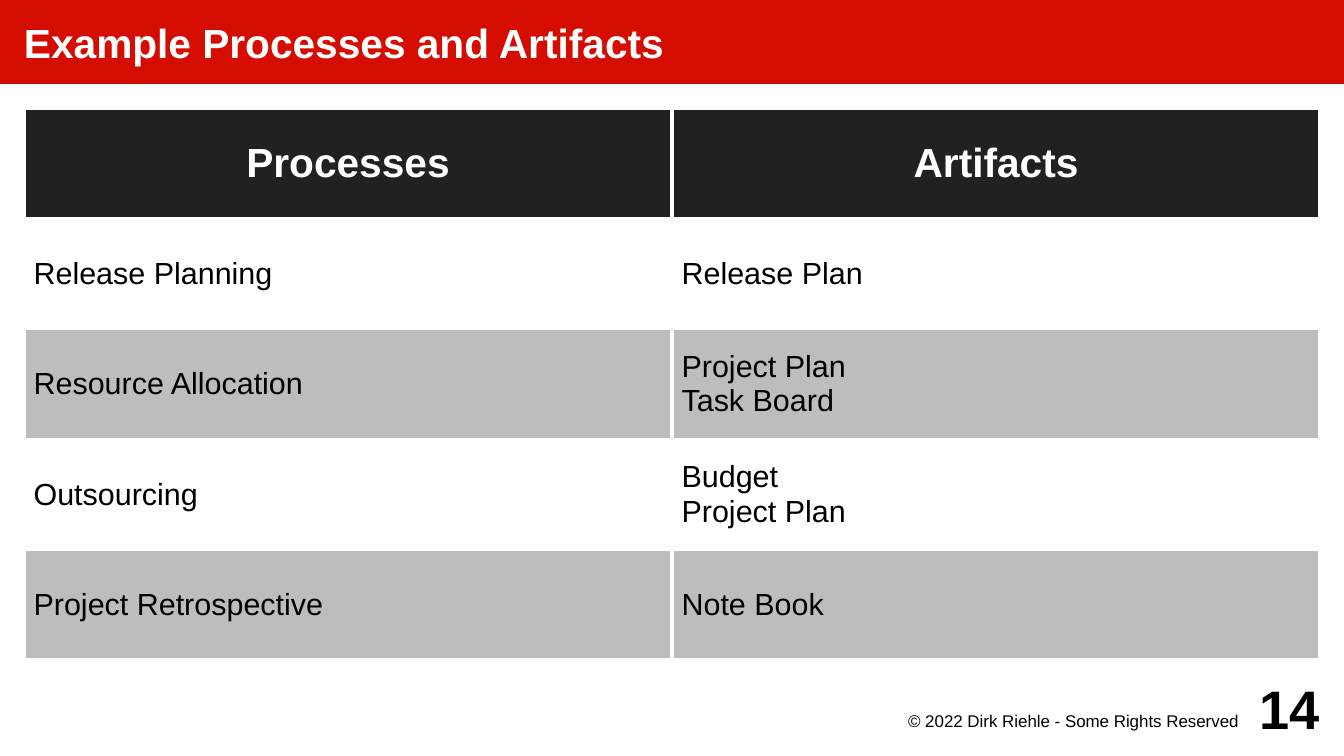
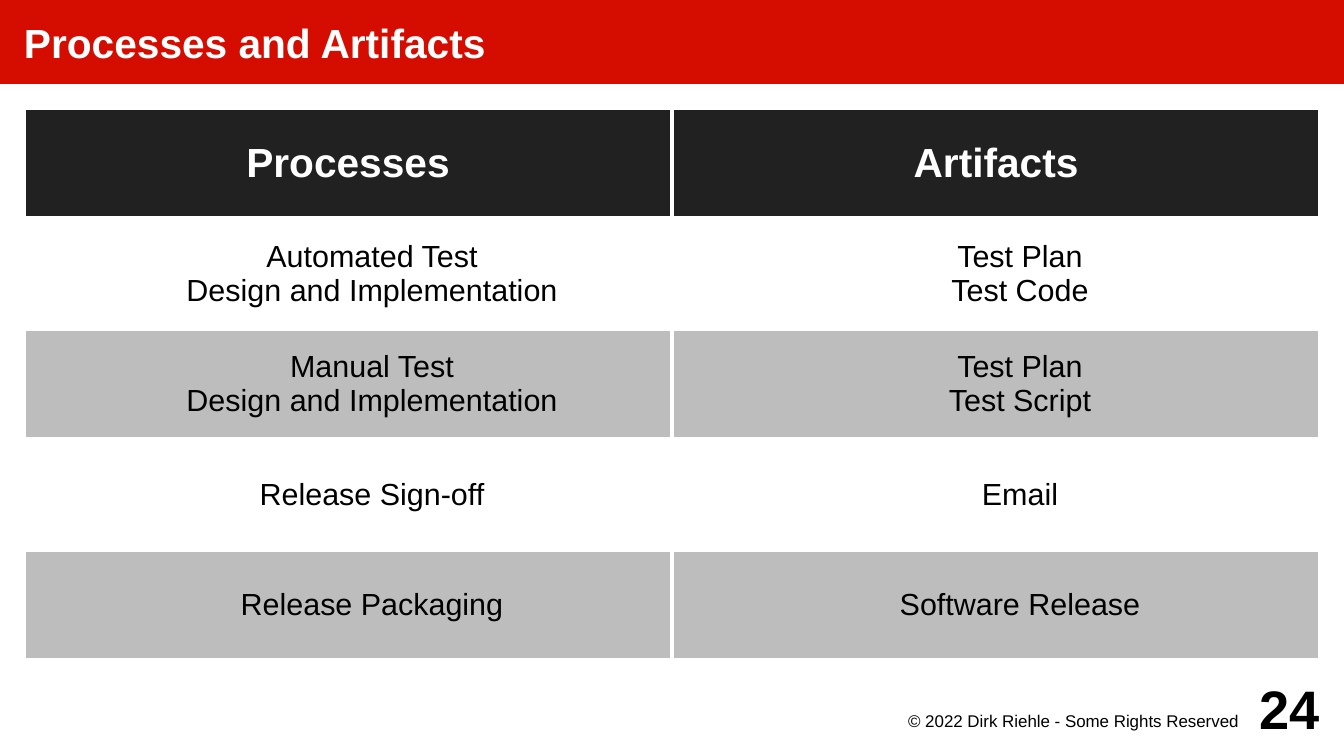
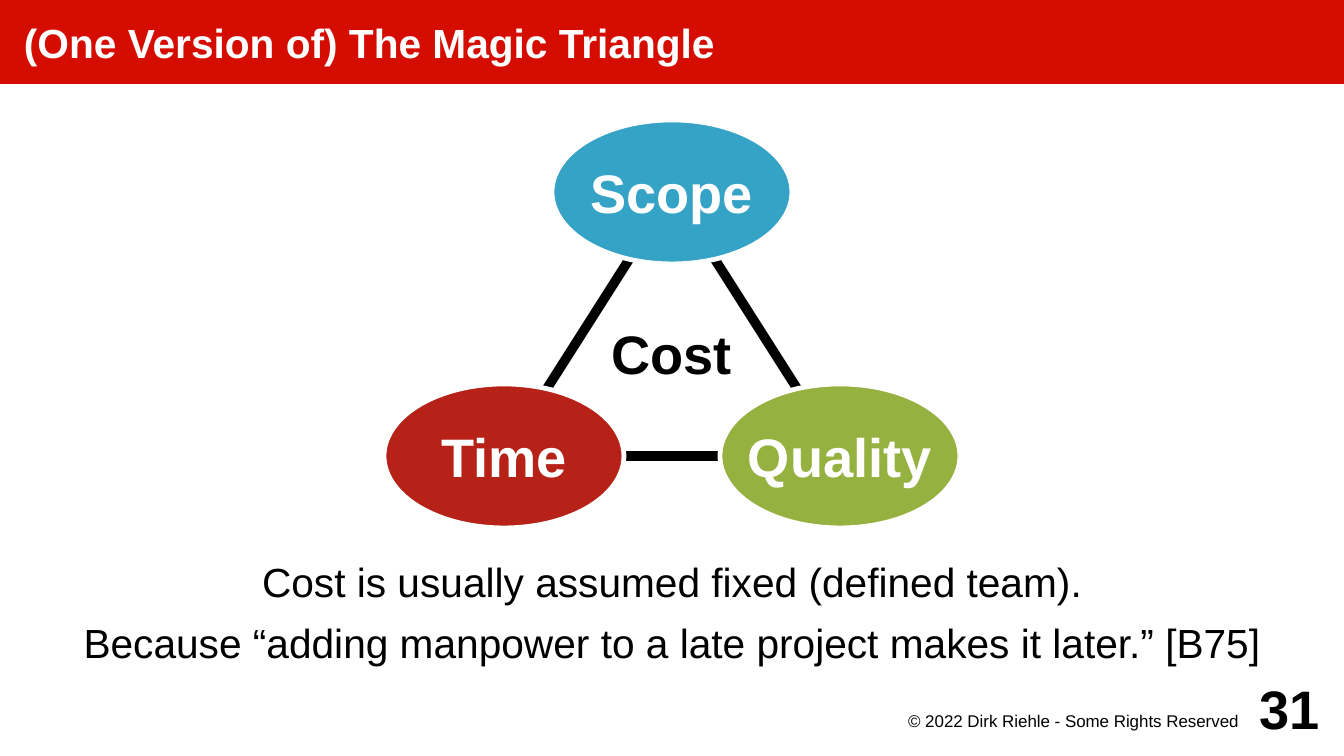
from itertools import combinations

from lxml import etree
from pptx import Presentation
from pptx.dml.color import RGBColor
from pptx.enum import shapes, text
from pptx.oxml import ns
from pptx.util import Cm, Pt

RED = RGBColor(0xD5, 0x0D, 0x01)
WHITE = RGBColor(0xFF, 0xFF, 0xFF)
BLACK = RGBColor(0, 0, 0)
DARK = RGBColor(0x21, 0x21, 0x21)
GRAY = RGBColor(0xBD, 0xBD, 0xBD)
BLUE = RGBColor(0x34, 0xA3, 0xC5)
BRICK = RGBColor(0xB6, 0x21, 0x18)
GREEN = RGBColor(0x95, 0xB2, 0x41)

LEFT, MID, RIGHT = text.PP_ALIGN.LEFT, text.PP_ALIGN.CENTER, text.PP_ALIGN.RIGHT
FONT = "Arial"
WIDE, HIGH = 28, 15.75
EDGE = 0.5
BAND = 1.75
ROW = 2.3


def style(frame, size, color, bold=False, align=LEFT, pad=(0, 0, 0, 0)):
    """Format all text of a frame; pad is left, top, right, bottom in cm."""
    frame.auto_size = text.MSO_AUTO_SIZE.NONE
    frame.vertical_anchor = text.MSO_ANCHOR.MIDDLE
    (frame.margin_left, frame.margin_top,
     frame.margin_right, frame.margin_bottom) = map(Cm, pad)
    for para in frame.paragraphs:
        para.alignment = align
        for run in para.runs:
            font = run.font
            font.name, font.size, font.bold = FONT, Pt(size), bold
            font.color.rgb = color


def edge(cell, width):
    """Draw a white border on all four sides of a cell."""
    props = cell._tc.get_or_add_tcPr()
    for spot, side in enumerate(("lnL", "lnR", "lnT", "lnB")):
        line = etree.Element(ns.qn("a:" + side), w=str(Pt(width)))
        fill = etree.SubElement(line, ns.qn("a:solidFill"))
        etree.SubElement(fill, ns.qn("a:srgbClr"), val=str(WHITE))
        props.insert(spot, line)


deck = Presentation()
deck.slide_width, deck.slide_height = Cm(WIDE), Cm(HIGH)

# Title band and footer of every slide
slides = []
for title, page, layout in (
    ("Example Processes and Artifacts", 14, 5),
    ("Processes and Artifacts", 24, 5),
    ("(One Version of) The Magic Triangle", 31, 1),
):
    slide = deck.slides.add_slide(deck.slide_layouts[layout])
    slides.append(slide)
    head = slide.shapes.title
    head.left, head.top, head.width, head.height = 0, 0, Cm(WIDE), Cm(BAND)
    head.fill.solid()
    head.fill.fore_color.rgb = RED
    head.text_frame.text = title
    style(head.text_frame, 24, WHITE, True, pad=(EDGE, 0, 0, 0))

    note = slide.shapes.add_textbox(Cm(18), Cm(14.75), Cm(8), Cm(0.75))
    note.text_frame.text = "© 2022 Dirk Riehle - Some Rights Reserved"
    style(note.text_frame, 10, BLACK, align=RIGHT, pad=(0, 0.05, 0.2, 0))
    note.text_frame.vertical_anchor = text.MSO_ANCHOR.TOP

    count = slide.shapes.add_textbox(Cm(25.5), Cm(14), Cm(2), Cm(1.5))
    count.text_frame.text = str(page)
    style(count.text_frame, 32, BLACK, True, RIGHT)

# Tables
HEADS = ("Processes", "Artifacts")
plans = (
    HEADS,
    ("Release Planning", "Release Plan"),
    ("Resource Allocation", "Project Plan\nTask Board"),
    ("Outsourcing", "Budget\nProject Plan"),
    ("Project Retrospective", "Note Book"),
)
tests = (
    HEADS,
    ("Automated Test\vDesign and Implementation", "Test Plan\nTest Code"),
    ("Manual Test\nDesign and Implementation", "Test Plan\nTest Script"),
    ("Release Sign-off", "Email"),
    ("Release Packaging", "Software Release"),
)
for slide, rows, align, indent, side, rule in (
    (slides[0], plans, LEFT, 0, 0.2, 2.27),
    (slides[1], tests, MID, 1, 0.25, 2.83),
):
    table = slide.shapes.add_table(
        len(rows), len(HEADS), Cm(EDGE), Cm(BAND + EDGE),
        Cm(WIDE - 2 * EDGE), Cm(ROW * len(rows))).table
    for r, row in enumerate(rows):
        for c, words in enumerate(row):
            cell = table.cell(r, c)
            cell.text_frame.text = words
            pad = (side, 0.13, side, 0.13)
            if r == 0:
                style(cell.text_frame, 24, WHITE, True, MID, pad)
            else:
                style(cell.text_frame, 18, BLACK, False, align, pad)
                for para in cell.text_frame.paragraphs:
                    para._p.get_or_add_pPr().set("marL", str(Cm(indent)))
            cell.vertical_anchor = text.MSO_ANCHOR.MIDDLE
            cell.margin_left = cell.margin_right = Cm(side)
            cell.margin_top = cell.margin_bottom = Cm(0.13)
            cell.fill.solid()
            cell.fill.fore_color.rgb = (
                DARK if r == 0 else WHITE if r % 2 else GRAY)
            edge(cell, rule)

# Triangle slide: claim below the diagram
slide = slides[2]
body = slide.placeholders[1]
body.left, body.top = Cm(EDGE), Cm(9.75)
body.width, body.height = Cm(WIDE - 2 * EDGE), Cm(6)
body.text_frame.text = (
    "Cost is usually assumed fixed (defined team).\n"
    "Because “adding manpower to a late project makes it later.” [B75]")
for para in body.text_frame.paragraphs:
    props = para._p.get_or_add_pPr()
    props.set("marL", "0")
    props.set("indent", "0")
    etree.SubElement(props, ns.qn("a:buNone"))
    para.space_before, para.space_after = Pt(0), Pt(7)
style(body.text_frame, 24, BLACK, align=MID, pad=(0.2,) * 4)

# Triangle: sides first, corners on top
OVAL_W, OVAL_H = 5, 3
nodes = (
    ("Quality", 17.5, 9.5, GREEN),
    ("Scope", 14, 4, BLUE),
    ("Time", 10.5, 9.5, BRICK),
)
group = slide.shapes.add_group_shape().shapes
for (_, x1, y1, _), (_, x2, y2, _) in combinations(nodes, 2):
    line = group.add_connector(
        shapes.MSO_CONNECTOR.STRAIGHT, Cm(x1), Cm(y1), Cm(x2), Cm(y2))
    line.line.color.rgb = BLACK
    line.line.width = Pt(5.67)
    etree.SubElement(line._element.spPr, ns.qn("a:effectLst"))
for name, x, y, color in nodes:
    oval = group.add_shape(
        shapes.MSO_SHAPE.OVAL, Cm(x - OVAL_W / 2), Cm(y - OVAL_H / 2),
        Cm(OVAL_W), Cm(OVAL_H))
    oval.shadow.inherit = False
    oval.fill.solid()
    oval.fill.fore_color.rgb = color
    oval.line.color.rgb = WHITE
    oval.line.width = Pt(2.83)
    oval.text_frame.text = name
    oval.text_frame.word_wrap = False
    style(oval.text_frame, 32, WHITE, True, MID, (0.2,) * 4)
cost = group.add_textbox(Cm(11.5), Cm(5.6), Cm(OVAL_W), Cm(3.5))
cost.text_frame.text = "Cost"
cost.text_frame.word_wrap = True
style(cost.text_frame, 32, BLACK, True, MID, (0.2,) * 4)

deck.save("out.pptx")
